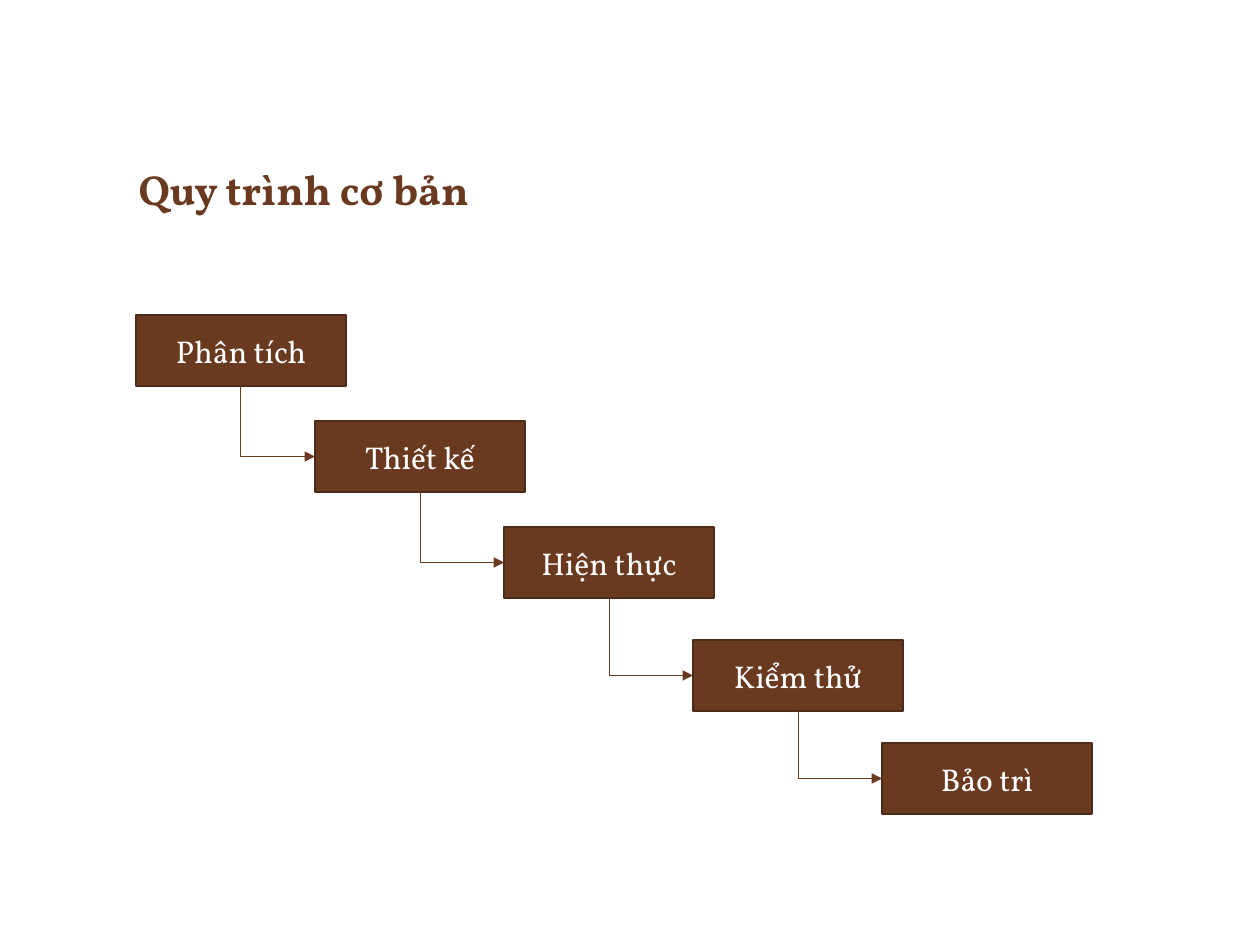
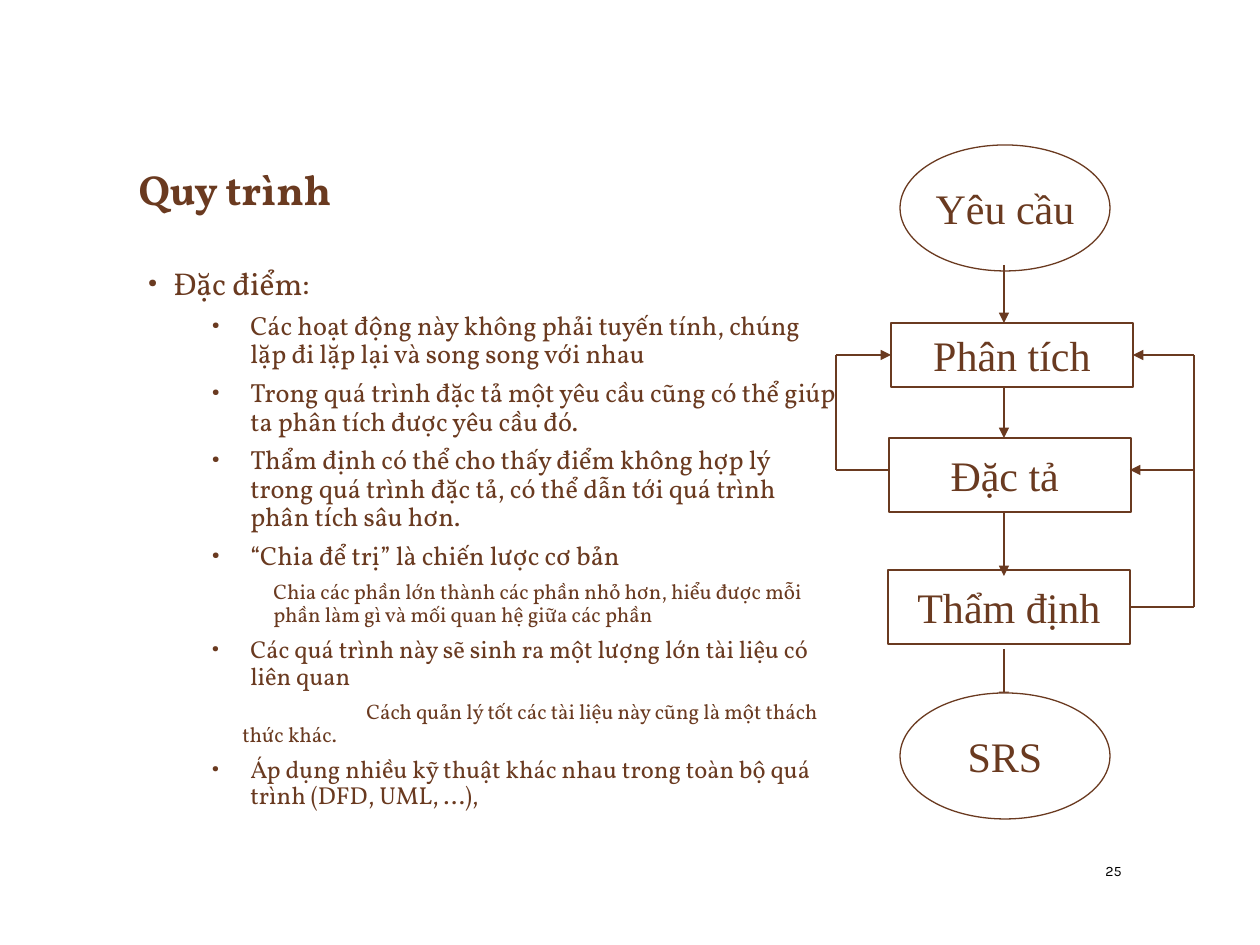
from lxml import etree
from pptx import Presentation
from pptx.dml.color import RGBColor
from pptx.enum.shapes import MSO_CONNECTOR, MSO_SHAPE
from pptx.enum.text import MSO_ANCHOR, PP_ALIGN
from pptx.oxml.ns import qn
from pptx.util import Emu, Pt

RECTANGLE, OVAL = MSO_SHAPE.RECTANGLE, MSO_SHAPE.OVAL
STRAIGHT, ELBOW = MSO_CONNECTOR.STRAIGHT, MSO_CONNECTOR.ELBOW
LEFT, CENTER, RIGHT = PP_ALIGN.LEFT, PP_ALIGN.CENTER, PP_ALIGN.RIGHT
TOP, MIDDLE, BOTTOM = MSO_ANCHOR.TOP, MSO_ANCHOR.MIDDLE, MSO_ANCHOR.BOTTOM
SIDE_LEFT, SIDE_BOTTOM, SIDE_RIGHT = 1, 2, 3
TITLE_ONLY = 5
COLORS = {"brown": "6A3A20", "edge": "4E2B18", "white": "FFFFFF", "black": "000000"}
SERIF, DIAGRAM_FONT, NUMBER_FONT = "Vollkorn", "Times New Roman", "Karla"

SLIDE_SIZE = (1260, 945)
TITLE_BOX = (126, 59, 1008, 161)
STEPS_BOX = (136, 315, 956, 499)
BODY_BOX = (135, 262, 714, 588)
DIAGRAM_BOX = (836, 145, 358, 674)
NUMBER_BOX = (1061, 850, 73, 42)

STEPS = [("Phân tích", 0, 0), ("Thiết kế", 179, 106), ("Hiện thực", 368, 212),
         ("Kiểm thử", 557, 325), ("Bảo trì", 746, 428)]
STEP_SIZE = (210, 71)

HEADING = dict(size=18, margin=26, indent=-26, bullet=True)
POINT = dict(size=15, level=1, margin=103, indent=-39, bullet=True, before=6)
SMALL_POINT = {**POINT, "size": 14}
DETAIL = dict(size=12, level=3, margin=126, before=6)
REMARK = dict(size=12, level=2, margin=95, indent=124, before=6)
BODY = [
    ("Đặc điểm:", HEADING),
    ("Các hoạt động này không phải tuyến tính, chúng lặp đi lặp lại và song song với nhau", POINT),
    ("Trong quá trình đặc tả một yêu cầu cũng có thể giúp ta phân tích được yêu cầu đó.", POINT),
    ("Thẩm định có thể cho thấy điểm không hợp lý trong quá trình đặc tả, "
     "có thể dẫn tới quá trình phân tích sâu hơn.", POINT),
    ("“Chia để trị” là chiến lược cơ bản", POINT),
    ("Chia các phần lớn thành các phần nhỏ hơn, hiểu được mỗi phần làm gì "
     "và mối quan hệ giữa các phần", DETAIL),
    ("Các quá trình này sẽ sinh ra một lượng lớn tài liệu có liên quan", SMALL_POINT),
    ("Cách quản lý tốt các tài liệu này cũng là một thách thức khác.", REMARK),
    ("Áp dụng nhiều kỹ thuật khác nhau trong toàn bộ quá trình (DFD, UML, ...),", SMALL_POINT),
]


def px(length):
    """Turn pixels into EMU."""
    return Emu(round(length * 914400 / 126))


def color(name):
    """Look up a named colour."""
    return RGBColor.from_string(COLORS[name])


def write(paragraph, text, size, font=SERIF, ink="brown", bold=False, align=LEFT,
          level=0, margin=0, indent=0, bullet=False, before=0, spacing=None):
    """Fill a paragraph with formatted text."""
    paragraph.level = level
    properties = paragraph._p.get_or_add_pPr()
    properties.set("marL", str(px(margin)))
    properties.set("indent", str(px(indent)))
    if bullet:
        bullet_color = etree.SubElement(properties, qn("a:buClr"))
        etree.SubElement(bullet_color, qn("a:srgbClr"), val=COLORS[ink])
        etree.SubElement(properties, qn("a:buFont"), typeface=font)
        etree.SubElement(properties, qn("a:buChar"), char="•")
    else:
        etree.SubElement(properties, qn("a:buNone"))
    paragraph.alignment = align
    paragraph.space_before = Pt(before)
    if spacing:
        paragraph.line_spacing = spacing
    run = paragraph.add_run()
    run.text = text
    run.font.size, run.font.name, run.font.bold = Pt(size), font, bold
    run.font.color.rgb = color(ink)


def add_node(slide, kind, box, text, fill, edge, weight, wrap=True, **text_format):
    """Add an outlined preset shape with a centred label."""
    shape = slide.shapes.add_shape(kind, *map(px, box))
    shape.shadow.inherit = False
    shape.fill.solid()
    shape.fill.fore_color.rgb = color(fill)
    shape.line.color.rgb = color(edge)
    shape.line.width = Pt(weight)
    frame = shape.text_frame
    frame.word_wrap, frame.vertical_anchor = wrap, MIDDLE
    write(frame.paragraphs[0], text, align=CENTER, **text_format)
    return shape


def add_text_box(slide, box, anchor):
    """Add a wrapping text box and return its frame."""
    frame = slide.shapes.add_textbox(*map(px, box)).text_frame
    frame.word_wrap, frame.vertical_anchor = True, anchor
    return frame


def add_line(slide, kind, start, end, weight, arrow=True):
    """Add a brown connector, with an arrowhead at its end if wanted."""
    line = slide.shapes.add_connector(kind, *map(px, (*start, *end)))
    line.line.color.rgb = color("brown")
    line.line.width = Pt(weight)
    if arrow:
        etree.SubElement(line.line._get_or_add_ln(), qn("a:tailEnd"), type="triangle")
    etree.SubElement(line._element.spPr, qn("a:effectLst"))
    return line


def add_corner_arrow(slide, upper, lower):
    """Lead from the bottom of one box down and across to the left of the next."""
    arrow = add_line(slide, ELBOW, (0, 0), (1, 1), 0.5)
    arrow.begin_connect(upper, SIDE_BOTTOM)
    arrow.end_connect(lower, SIDE_LEFT)
    start_x, start_y = upper.left + upper.width // 2, upper.top + upper.height
    across = lower.left - start_x
    down = lower.top + lower.height // 2 - start_y
    arrow.left = start_x + (across - down) // 2
    arrow.top = start_y + (down - across) // 2
    arrow.width, arrow.height = down, across
    properties = arrow._element.spPr
    properties.find(qn("a:prstGeom")).set("prst", "bentConnector2")
    transform = properties.find(qn("a:xfrm"))
    transform.set("rot", "16200000")
    transform.set("flipH", "1")


def add_titled_slide(presentation, text):
    """Add a slide with the shared title style."""
    slide = presentation.slides.add_slide(presentation.slide_layouts[TITLE_ONLY])
    title = slide.shapes.title
    title.left, title.top, title.width, title.height = map(px, TITLE_BOX)
    frame = title.text_frame
    frame.vertical_anchor = BOTTOM
    write(frame.paragraphs[0], text, size=24, bold=True)
    return slide


def add_steps(slide, box):
    """Draw the staircase of process steps."""
    nodes = [add_node(slide, RECTANGLE, (box[0] + x, box[1] + y, *STEP_SIZE), text,
                      "brown", "edge", 1, size=18, ink="white") for text, x, y in STEPS]
    for upper, lower in zip(nodes, nodes[1:]):
        add_corner_arrow(slide, upper, lower)


def add_body(slide, box):
    """Write the list of characteristics."""
    frame = add_text_box(slide, box, TOP)
    for index, (text, text_format) in enumerate(BODY):
        paragraph = frame.add_paragraph() if index else frame.paragraphs[0]
        write(paragraph, text, spacing=0.9, **text_format)


def add_diagram(slide, box):
    """Draw the requirements flow with its feedback loops."""
    left, top, width, height = box

    def node(kind, text, x, y, node_width, node_height):
        """Place a white node within the diagram."""
        return add_node(slide, kind, (left + x, top + y, node_width, node_height), text,
                        "white", "brown", 0.75, wrap=False, size=24, font=DIAGRAM_FONT)

    def line(x1, y1, x2, y2, arrow=True):
        """Place a straight line within the diagram."""
        return add_line(slide, STRAIGHT, (left + x1, top + y1), (left + x2, top + y2),
                        0.75, arrow)

    node(OVAL, "Yêu cầu", 64, 0, 210, 126)
    analysis = node(RECTANGLE, "Phân tích", 55, 178, 242, 64)
    node(RECTANGLE, "Đặc tả ", 53, 293, 242, 74)
    review = node(RECTANGLE, "Thẩm định", 52, 425, 242, 74)

    for y1, y2 in [(120, 178), (242, 293), (368, 431), (504, 557)]:
        line(168, y1, 168, y2)

    analysis_y, specification_y, review_y = 210, 325, 462
    line(53, specification_y, 0, specification_y, arrow=False)
    line(0, specification_y, 0, analysis_y, arrow=False)
    line(0, analysis_y, 55, analysis_y).end_connect(analysis, SIDE_LEFT)
    line(294, review_y, width, review_y, arrow=False).begin_connect(review, SIDE_RIGHT)
    line(width, review_y, width, analysis_y, arrow=False)
    line(width, specification_y, 294, specification_y)
    line(width, analysis_y, 297, analysis_y).end_connect(analysis, SIDE_RIGHT)
    node(OVAL, "SRS", 64, height - 126, 210, 126)


def add_slide_number(slide, box, number):
    """Write the slide number."""
    frame = add_text_box(slide, box, MIDDLE)
    write(frame.paragraphs[0], number, size=8.2, font=NUMBER_FONT, ink="black", align=RIGHT)


def main():
    """Build and save both slides."""
    presentation = Presentation()
    presentation.slide_width, presentation.slide_height = map(px, SLIDE_SIZE)
    add_steps(add_titled_slide(presentation, "Quy trình cơ bản"), STEPS_BOX)
    slide = add_titled_slide(presentation, "Quy trình")
    add_body(slide, BODY_BOX)
    add_slide_number(slide, NUMBER_BOX, "25")
    add_diagram(slide, DIAGRAM_BOX)
    presentation.save("out.pptx")


if __name__ == "__main__":
    main()
